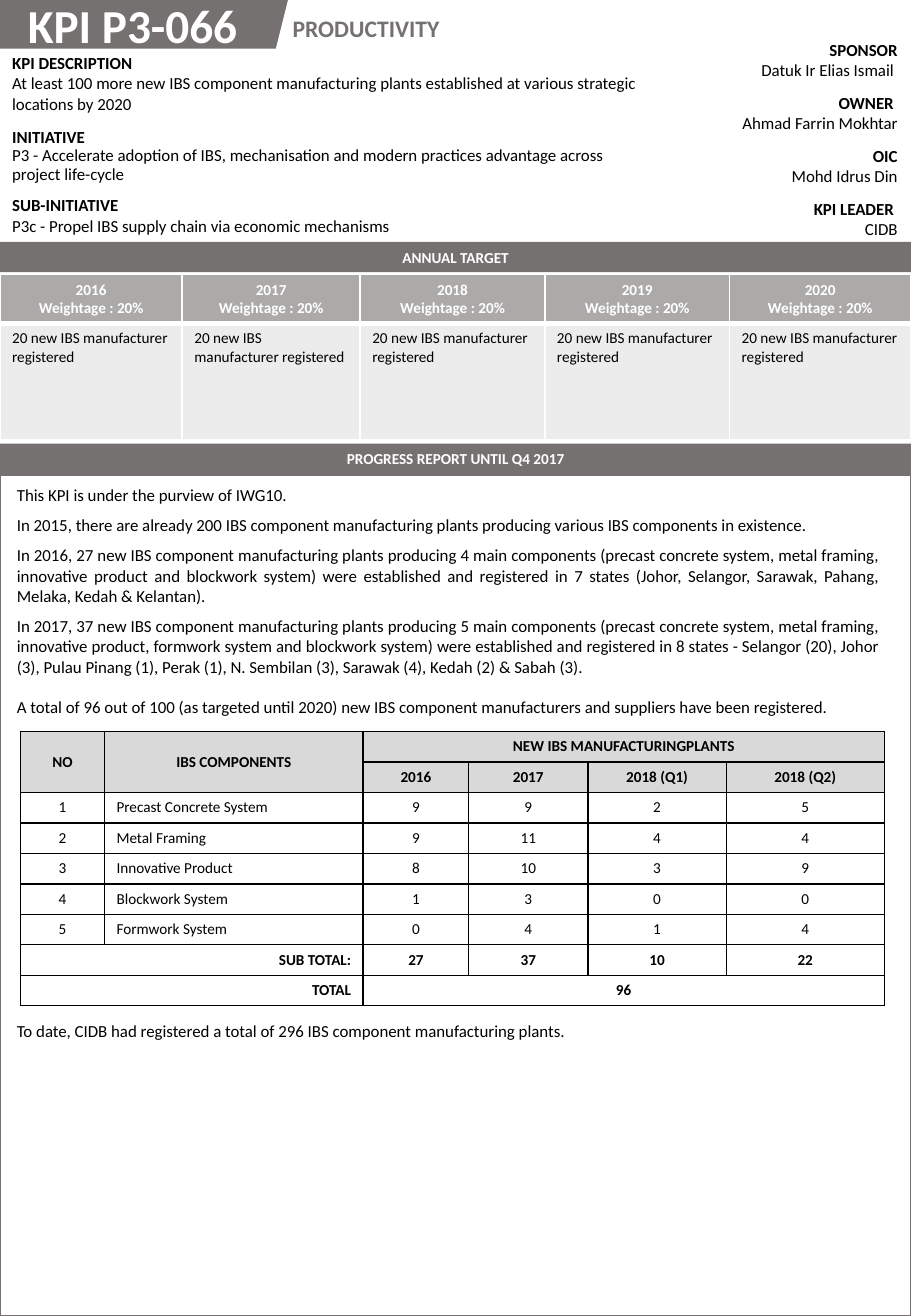
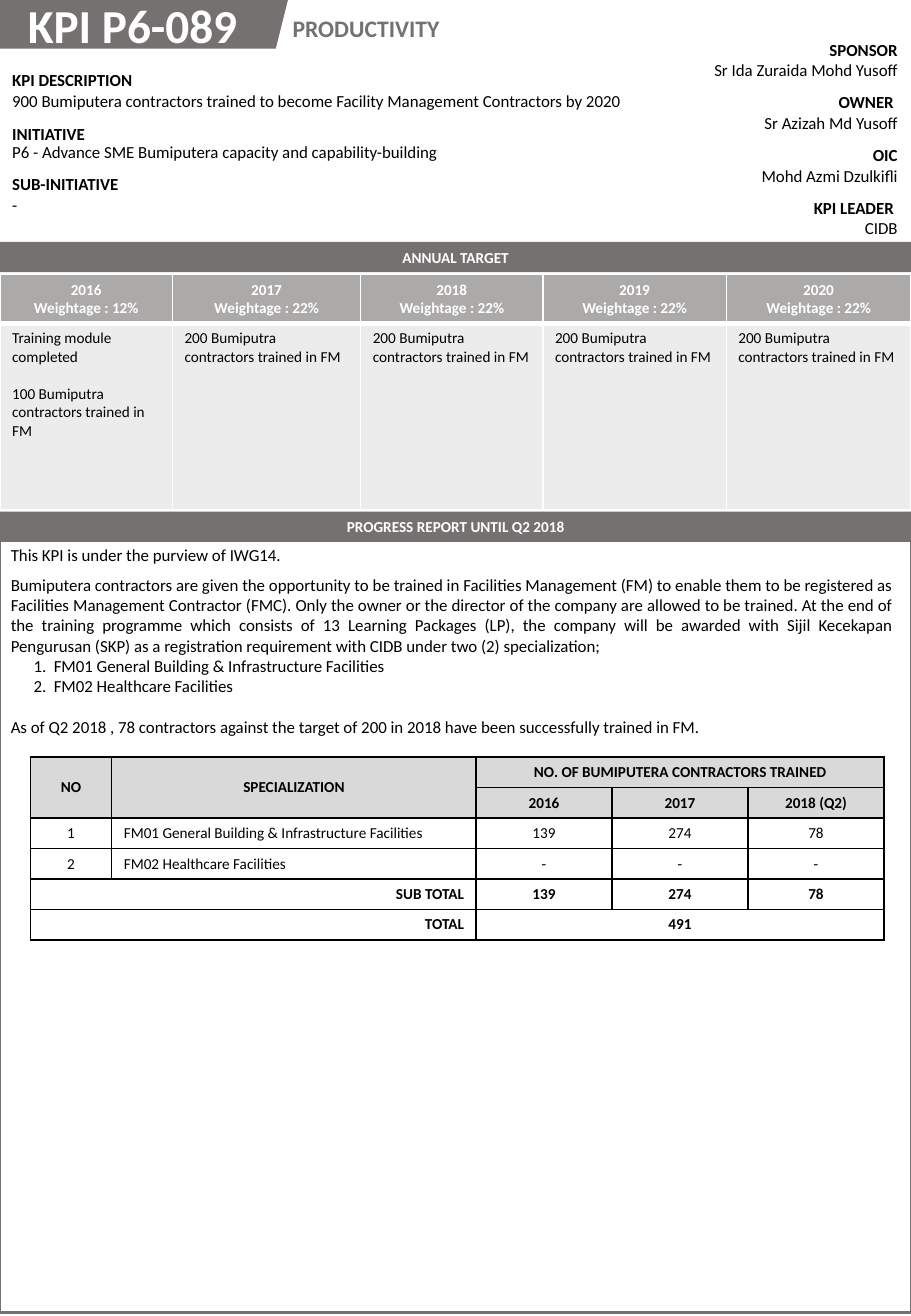
import lxml.etree
import pptx
import pptx.dml.color
import pptx.enum.shapes
import pptx.enum.text
import pptx.oxml.ns
import pptx.util

Pt = pptx.util.Pt
qn = pptx.oxml.ns.qn
ALIGN = pptx.enum.text.PP_ALIGN
MIDDLE = pptx.enum.text.MSO_ANCHOR.MIDDLE
SHAPE = pptx.enum.shapes.MSO_SHAPE

COLORS = {"gray": "767171", "header": "D9D9D9", "white": "FFFFFF", "black": "000000"}
FONT = "Calibri"
WIDTH, HEIGHT = 540, 779.76
PLAIN_TABLE = "{2D5ABB26-0587-4C30-8999-92F81FD0307C}"
ROLES = ("SPONSOR", "OWNER ", "OIC", "KPI LEADER ")
SUMMARY_HEADINGS = ("KPI DESCRIPTION", "INITIATIVE", "SUB-INITIATIVE")
YEARS = (2016, 2017, 2018, 2019, 2020)

KPIS = [
    {
        "code": "KPI P3-066",
        "people": ["Datuk Ir Elias Ismail ", "Ahmad Farrin Mokhtar", "Mohd Idrus Din", "CIDB"],
        "summary": [
            "At least 100 more new IBS component manufacturing plants established at various strategic locations by 2020",
            "P3 - Accelerate adoption of IBS, mechanisation and modern practices advantage across project life-cycle",
            "P3c - Propel IBS supply chain via economic mechanisms",
        ],
        "summary_top": 28.08, "summary_width": 391, "summary_rows": [43.2, 40.8, 31.2],
        "weights": [20] * 5,
        "targets": [["20 new IBS manufacturer registered"]] * 5,
        "target_columns": [108, 105.5, 109.5, 109.5, 107.5], "target_height": 69.1,
        "period": "Q4 2017", "band_top": 262.8,
        "frame": (281.5, 498.2),
        "report_box": (2.9, 283.7, 524.9, 352.8),
        "report": [
            (0, "This KPI is under the purview of IWG10."),
            (5.8, "In 2015, there are already 200 IBS component manufacturing plants producing various IBS components in existence."),
            (5.8, "In 2016, 27 new IBS component manufacturing plants producing 4 main components (precast concrete system, metal framing, innovative product and blockwork system) were established and registered in 7 states (Johor, Selangor, Sarawak, Pahang, Melaka, Kedah & Kelantan)."),
            (5.8, "In 2017, 37 new IBS component manufacturing plants producing 5 main components (precast concrete system, metal framing, innovative product, formwork system and blockwork system) were established and registered in 8 states - Selangor (20), Johor (3), Pulau Pinang (1), Perak (1), N. Sembilan (3), Sarawak (4), Kedah (2) & Sabah (3)."),
            (12, "A total of 96 out of 100 (as targeted until 2020) new IBS component manufacturers and suppliers have been registered."),
            (180, "To date, CIDB had registered a total of 296 IBS component manufacturing plants."),
        ],
        "numbered": [],
        "results_at": (12.2, 433.4),
        "results_columns": [49.7, 153.4, 62.6, 70.6, 82.1, 93.6],
        "results": [
            ["NO", "IBS COMPONENTS", "NEW IBS MANUFACTURINGPLANTS", "", "", ""],
            ["", "", "2016", "2017", "2018 (Q1)", "2018 (Q2)"],
            ["1", "Precast Concrete System", "9", "9", "2", "5"],
            ["2", "Metal Framing", "9", "11", "4", "4"],
            ["3", "Innovative Product", "8", "10", "3", "9"],
            ["4", "Blockwork System", "1", "3", "0", "0"],
            ["5", "Formwork System", "0", "4", "1", "4"],
            ["SUB TOTAL:", "", "27", "37", "10", "22"],
            ["TOTAL", "", "96", "", "", ""],
        ],
    },
    {
        "code": "KPI P6-089",
        "people": ["Sr Ida Zuraida Mohd Yusoff", "Sr Azizah Md Yusoff", "Mohd Azmi Dzulkifli", "CIDB"],
        "summary": [
            "900 Bumiputera contractors trained to become Facility Management Contractors by 2020",
            "P6 - Advance SME Bumiputera capacity and capability-building",
            "-",
        ],
        "summary_top": 38.2, "summary_width": 375.1, "summary_rows": [31.7, 30.2, 31.2],
        "weights": [12] + [22] * 4,
        "targets": [["Training module completed", "100 Bumiputra contractors trained in FM"]]
        + [["200 Bumiputra contractors trained in FM"]] * 4,
        "target_columns": [102.2, 111.6, 108, 108.7, 109.5], "target_height": 110.2,
        "period": "Q2 2018", "band_top": 303.1,
        "frame": (305.3, 472.3),
        "report_box": (-0.7, 319, 536.4, 461.5),
        "report": [
            (0, "This KPI is under the purview of IWG14."),
            (5.8, "Bumiputera contractors are given the opportunity to be trained in Facilities Management (FM) to enable them to be registered as Facilities Management Contractor (FMC). Only the owner or the director of the company are allowed to be trained. At the end of the training programme which consists of 13 Learning Packages (LP), the company will be awarded with Sijil Kecekapan Pengurusan (SKP) as a registration requirement with CIDB under two (2) specialization;"),
            (0, "FM01 General Building & Infrastructure Facilities"),
            (0, "FM02 Healthcare Facilities"),
            (12, "As of Q2 2018 , 78 contractors against the target of 200 in 2018 have been successfully trained in FM."),
        ],
        "numbered": [2, 3],
        "results_at": (18, 448.6),
        "results_columns": [48.2, 216, 80.6, 80.6, 80.6],
        "results": [
            ["NO", "SPECIALIZATION", "NO. OF BUMIPUTERA CONTRACTORS TRAINED", "", ""],
            ["", "", "2016", "2017", "2018 (Q2)"],
            ["1", "FM01 General Building & Infrastructure Facilities", "139", "274", "78"],
            ["2", "FM02 Healthcare Facilities", "-", "-", "-"],
            ["SUB TOTAL", "", "139", "274", "78"],
            ["TOTAL", "", "491", "", ""],
        ],
    },
]


def rgb(name):
    return pptx.dml.color.RGBColor.from_string(COLORS[name])


def write(frame, lines, size, color="black", bold=False, align=ALIGN.LEFT):
    frame.text = "\n".join(lines)
    for paragraph in frame.paragraphs:
        paragraph.alignment = align
        for run in paragraph.runs:
            font = run.font
            font.name, font.size, font.bold = FONT, Pt(size), bold
            font.color.rgb = rgb(color)
    return frame.paragraphs


def add_block(slide, kind, box, fill=None, line=None):
    block = slide.shapes.add_shape(kind, *map(Pt, box))
    block.shadow.inherit = False
    if fill:
        block.fill.solid()
        block.fill.fore_color.rgb = rgb(fill)
    else:
        block.fill.background()
    if line:
        block.line.color.rgb = rgb(line)
        block.line.width = Pt(1.5)
    else:
        block.line.fill.background()
    return block


def add_text(slide, box, lines, size, color="black", bold=False, align=ALIGN.LEFT, wrap=True):
    frame = slide.shapes.add_textbox(*map(Pt, box)).text_frame
    frame.word_wrap = wrap
    return write(frame, lines, size, color, bold, align)


def add_band(slide, top, label):
    band = add_block(slide, SHAPE.RECTANGLE, (0, top, WIDTH, 18), "gray")
    band.text_frame.vertical_anchor = MIDDLE
    write(band.text_frame, [label], 9, "white", True, ALIGN.CENTER)


def add_grid(slide, left, top, columns, rows):
    box = map(Pt, (left, top, sum(columns), sum(rows)))
    table = slide.shapes.add_table(len(rows), len(columns), *box).table
    table.first_row = table.horz_banding = False
    table._tbl.tblPr.find(qn("a:tableStyleId")).text = PLAIN_TABLE
    for column, width in zip(table.columns, columns):
        column.width = Pt(width)
    for row, height in zip(table.rows, rows):
        row.height = Pt(height)
    return table


def style_cell(cell, border, fill=None, alpha=100, bottom=1):
    properties = cell._tc.get_or_add_tcPr()
    for side, width in (("L", 1), ("R", 1), ("T", 1), ("B", bottom)):
        edge = lxml.etree.SubElement(properties, qn("a:ln" + side), w=str(Pt(width)))
        paint = lxml.etree.SubElement(edge, qn("a:solidFill"))
        lxml.etree.SubElement(paint, qn("a:srgbClr"), val=COLORS[border])
    if fill:
        cell.fill.solid()
        cell.fill.fore_color.rgb = rgb(fill)
        if alpha < 100:
            tint = properties.find(qn("a:solidFill"))[0]
            lxml.etree.SubElement(tint, qn("a:alpha"), val=str(alpha * 1000))


def add_pairs(slide, left, top, width, rows, headings, values, align):
    table = add_grid(slide, left, top, [width], rows)
    pairs = []
    for index, pair in enumerate(zip(headings, values)):
        paragraphs = write(table.cell(index, 0).text_frame, pair, 10, align=align)
        paragraphs[0].runs[0].font.bold = True
        pairs.append(paragraphs)
    return pairs


def add_targets(slide, kpi):
    table = add_grid(slide, 0, 162.7, kpi["target_columns"], [28.8, kpi["target_height"]])
    for index, (year, weight, target) in enumerate(zip(YEARS, kpi["weights"], kpi["targets"])):
        heading, goal = table.cell(0, index), table.cell(1, index)
        style_cell(heading, "white", "gray", 60, bottom=3)
        style_cell(goal, "white", "gray", 13)
        write(heading.text_frame, [str(year), f"Weightage : {weight}%"], 9, "white", True, ALIGN.CENTER)
        for paragraph in write(goal.text_frame, target, 9)[1:]:
            paragraph.space_before = Pt(11)


def add_report(slide, kpi):
    lines = [text for _, text in kpi["report"]]
    paragraphs = add_text(slide, kpi["report_box"], lines, 10, align=ALIGN.JUSTIFY)
    for index, (gap, _) in enumerate(kpi["report"]):
        paragraphs[index].space_before = Pt(gap)
        if index in kpi["numbered"]:
            properties = paragraphs[index]._p.get_or_add_pPr()
            properties.set("marL", str(Pt(25.5)))
            properties.set("indent", str(Pt(-12)))
            lxml.etree.SubElement(properties, qn("a:buAutoNum"), type="arabicPeriod")


def add_results(slide, kpi):
    results = kpi["results"]
    last_row, last_column = len(results) - 1, len(results[0]) - 1
    table = add_grid(slide, *kpi["results_at"], kpi["results_columns"], [18] * len(results))
    for r, row in enumerate(results):
        header, total = r < 2, r >= last_row - 1
        for c, value in enumerate(row):
            cell = table.cell(r, c)
            style_cell(cell, "black", "header" if header else None)
            cell.vertical_anchor = MIDDLE
            align = ALIGN.CENTER
            if total and c == 0:
                align = ALIGN.RIGHT
            elif c == 1 and not header:
                align = ALIGN.LEFT
            write(cell.text_frame, [value], 9, bold=header or total, align=align)
    spans = [
        (0, 0, 1, 0), (0, 1, 1, 1), (0, 2, 0, last_column),
        (last_row - 1, 0, last_row - 1, 1), (last_row, 0, last_row, 1),
        (last_row, 2, last_row, last_column),
    ]
    for top, left, bottom, right in spans:
        table.cell(top, left).merge(table.cell(bottom, right))


def build_slide(deck, kpi):
    slide = deck.slides.add_slide(deck.slide_layouts[6])
    add_block(slide, SHAPE.PARALLELOGRAM, (-12.2, 0, 182.9, 28.8), "gray")
    frame_top, frame_height = kpi["frame"]
    add_block(slide, SHAPE.RECTANGLE, (0, frame_top, WIDTH, frame_height), line="gray")
    add_pairs(slide, 339.8, 20.16, 199.4, [31.2] * 4, ROLES, kpi["people"], ALIGN.RIGHT)
    summary = add_pairs(slide, 0, kpi["summary_top"], kpi["summary_width"], kpi["summary_rows"],
                        SUMMARY_HEADINGS, kpi["summary"], ALIGN.LEFT)
    summary[1][1].line_spacing = 0.88
    add_report(slide, kpi)
    add_text(slide, (166.3, 5, 104.4, 24.5), ["PRODUCTIVITY"], 14, "gray", True, wrap=False)
    add_text(slide, (9.4, -5.8, 161.3, 41), [kpi["code"]], 28, "white", True)
    add_band(slide, kpi["band_top"], f"PROGRESS REPORT UNTIL {kpi['period']}")
    add_band(slide, 143.3, "ANNUAL TARGET")
    add_targets(slide, kpi)
    add_results(slide, kpi)


def main():
    deck = pptx.Presentation()
    deck.slide_width, deck.slide_height = Pt(WIDTH), Pt(HEIGHT)
    for kpi in KPIS:
        build_slide(deck, kpi)
    deck.save("out.pptx")


if __name__ == "__main__":
    main()
